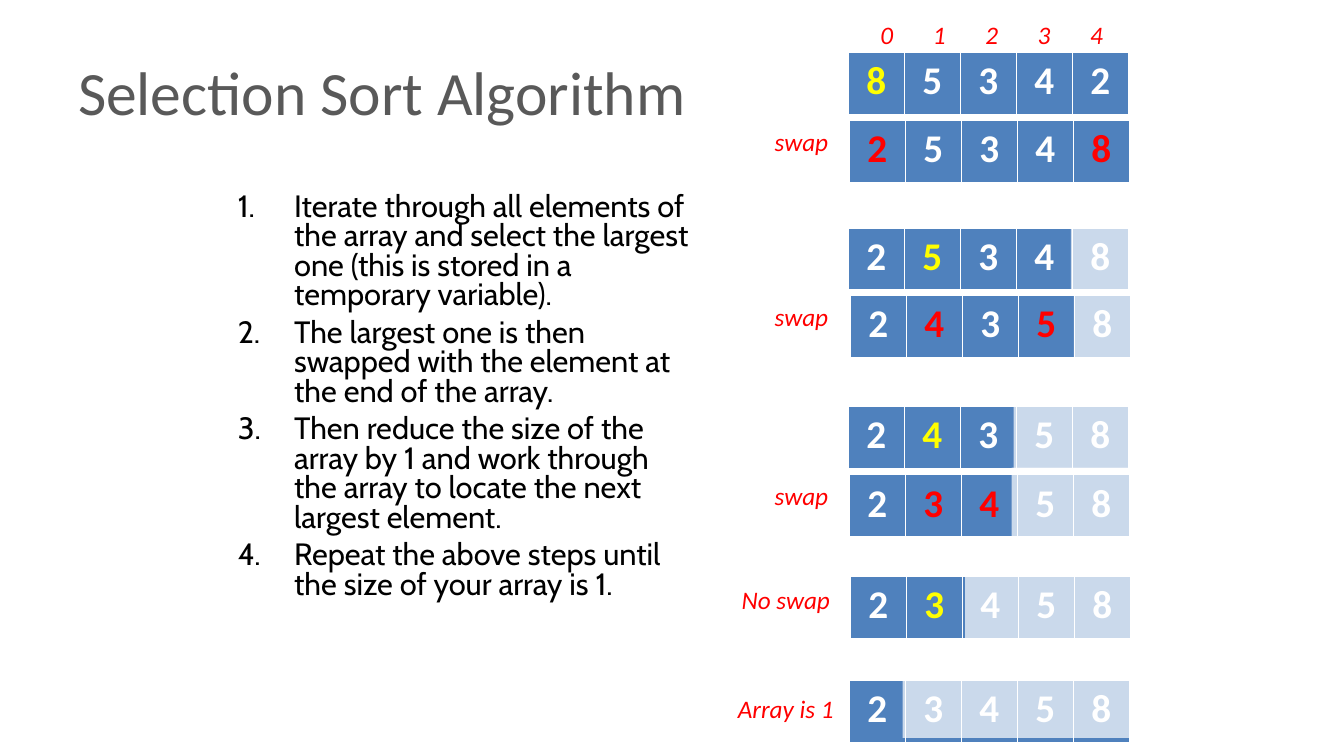
import pptx
import pptx.util
import pptx.dml.color
import pptx.enum.shapes
import pptx.enum.text
import pptx.oxml
import pptx.oxml.ns

Inches = pptx.util.Inches
Pt = pptx.util.Pt
RGBColor = pptx.dml.color.RGBColor
PP_ALIGN = pptx.enum.text.PP_ALIGN
MSO_ANCHOR = pptx.enum.text.MSO_ANCHOR

WHITE = RGBColor(0xFF, 0xFF, 0xFF)
BLACK = RGBColor(0x00, 0x00, 0x00)
GREY = RGBColor(0x59, 0x59, 0x59)
BLUE = RGBColor(0x4F, 0x81, 0xBD)
RED = RGBColor(0xFF, 0x00, 0x00)
YELLOW = RGBColor(0xFF, 0xFF, 0x00)

ARRAY_WIDTH = 2.78
INDEX_STEP = 0.52

INSTRUCTIONS = [
    "Iterate through all elements of the array and select the largest one "
    "(this is stored in a temporary variable).",
    "The largest one is then swapped with the element at the end of the array.",
    "Then reduce the size of the array by 1 and work through the array to "
    "locate the next largest element.",
    "Repeat the above steps until the size of your array is 1.",
]

# left, top, values, highlighted positions, highlight colour
ARRAYS = [
    (8.42, 0.52, "85342", [0], YELLOW),
    (8.43, 1.19, "25348", [0, 4], RED),
    (8.42, 2.26, "25348", [1], YELLOW),
    (8.44, 2.93, "24358", [1, 3], RED),
    (8.42, 4.03, "24358", [1], YELLOW),
    (8.43, 4.71, "23458", [1, 2], RED),
    (8.44, 5.72, "23458", [1], YELLOW),
    (8.43, 6.75, "23458", [], WHITE),
]

# left, top, width, height of the veils over the sorted elements
VEILS = [
    (10.63, 2.22, 0.85, 0.68),
    (10.66, 2.89, 0.84, 0.68),
    (10.06, 3.99, 1.42, 0.68),
    (10.04, 4.64, 1.42, 0.79),
    (9.58, 5.63, 1.92, 0.79),
    (8.96, 6.7, 2.54, 0.62),
]

LABELS = [
    ("swap", 7.56, 1.27, 0.79),
    ("swap", 7.56, 3.01, 0.79),
    ("swap", 7.56, 4.79, 0.79),
    ("No swap", 7.22, 5.82, 1.16),
    ("Array is 1", 7.22, 6.9, 1.16),
]


def add_xml(parent, xml):
    ns = pptx.oxml.ns.nsdecls("a")
    tag, rest = xml.split(" ", 1)
    parent.append(pptx.oxml.parse_xml(f"{tag} {ns} {rest}"))


class SlideBuilder:
    def __init__(self, s):
        self.s = s
        self.font = "Calibri"

    def style(self, p, size, color, name=None, bold=False, italic=False):
        for r in p.runs:
            r.font.name = name or self.font
            r.font.size = Pt(size)
            r.font.color.rgb = color
            r.font.bold = bold
            r.font.italic = italic

    def place(self, sp, left, top, width, height, anchor):
        sp.left, sp.top = Inches(left), Inches(top)
        sp.width, sp.height = Inches(width), Inches(height)
        tf = sp.text_frame
        tf.word_wrap = True
        tf.auto_size = pptx.enum.text.MSO_AUTO_SIZE.NONE
        tf.vertical_anchor = anchor
        return tf

    def title(self, text, *box):
        tf = self.place(self.s.shapes.title, *box, MSO_ANCHOR.MIDDLE)
        tf.text = text
        p = tf.paragraphs[0]
        p.alignment = PP_ALIGN.CENTER
        self.style(p, 44, GREY)

    def numbered_list(self, items, *box):
        tf = self.place(self.s.placeholders[1], *box, MSO_ANCHOR.TOP)
        tf.text = "\n".join(items)
        for i, p in enumerate(tf.paragraphs):
            pPr = p._p.get_or_add_pPr()
            pPr.set("marL", str(Inches(0.56)))
            pPr.set("indent", str(-Inches(0.56)))
            add_xml(pPr, f'<a:buClr ><a:srgbClr val="{BLACK}"/></a:buClr>')
            add_xml(pPr, '<a:buFont typeface="Cabin"/>')
            add_xml(pPr, '<a:buAutoNum type="arabicPeriod"/>')
            p.line_spacing = 0.8
            p.space_before = Pt(5.5 if i else 0)
            self.style(p, 22, BLACK, name="Cabin")

    def array(self, left, top, values, marked, mark_color):
        """One-row table with the marked positions in their own colour."""
        frame = self.s.shapes.add_table(
            1, len(values), Inches(left), Inches(top), Inches(ARRAY_WIDTH), Inches(0.62))
        table = frame.table
        table.first_row = table.horz_banding = False
        for i, value in enumerate(values):
            cell = table.cell(0, i)
            tcPr = cell._tc.get_or_add_tcPr()
            for side, width in zip("LRTB", (0.45, 0.45, 0.45, 1.47)):
                add_xml(tcPr, f'<a:ln{side} w="{Pt(width)}"><a:solidFill>'
                              f'<a:srgbClr val="{WHITE}"/></a:solidFill></a:ln{side}>')
            cell.fill.solid()
            cell.fill.fore_color.rgb = BLUE
            p = cell.text_frame.paragraphs[0]
            p.text = value
            p.alignment = PP_ALIGN.CENTER
            self.style(p, 28, mark_color if i in marked else WHITE, bold=True)

    def white_box(self, left, top, width, height):
        sp = self.s.shapes.add_shape(
            pptx.enum.shapes.MSO_SHAPE.RECTANGLE,
            Inches(left), Inches(top), Inches(width), Inches(height))
        sp.shadow.inherit = False
        sp.fill.solid()
        sp.fill.fore_color.rgb = WHITE
        sp.line.fill.background()
        return sp

    def veil(self, *box):
        sp = self.white_box(*box)
        color = sp.fill._xPr.find(".//" + pptx.oxml.ns.qn("a:srgbClr"))
        add_xml(color, '<a:alpha val="70000"/>')

    def label(self, text, left, top, width, height=0.26):
        sp = self.white_box(left, top, width, height)
        tf = self.place(sp, left, top, width, height, MSO_ANCHOR.MIDDLE)
        p = tf.paragraphs[0]
        p.text = text
        p.alignment = PP_ALIGN.CENTER
        self.style(p, 18, RED, italic=True)
        return tf

    def index_row(self, count, *box):
        tf = self.label("\t".join(map(str, range(count))), *box)
        tf.margin_left = Inches(0.26)
        p = tf.paragraphs[0]
        p.alignment = PP_ALIGN.LEFT
        stops = "".join(f'<a:tab pos="{Inches(INDEX_STEP * i)}" algn="l"/>'
                        for i in range(1, count))
        add_xml(p._p.get_or_add_pPr(), f"<a:tabLst >{stops}</a:tabLst>")


def main():
    prs = pptx.Presentation()
    prs.slide_width, prs.slide_height = Inches(13.34), Inches(7.5)
    b = SlideBuilder(prs.slides.add_slide(prs.slide_layouts[1]))
    b.title("Selection Sort Algorithm", 0.37, 0.27, 6.85, 1.27)
    b.numbered_list(INSTRUCTIONS, 2.26, 1.87, 4.69, 4.95)
    b.index_row(5, 8.48, 0.21, 2.7, 0.27)
    for array in ARRAYS:
        b.array(*array)
    for veil in VEILS:
        b.veil(*veil)
    for label in LABELS:
        b.label(*label)
    prs.save("out.pptx")


if __name__ == "__main__":
    main()
